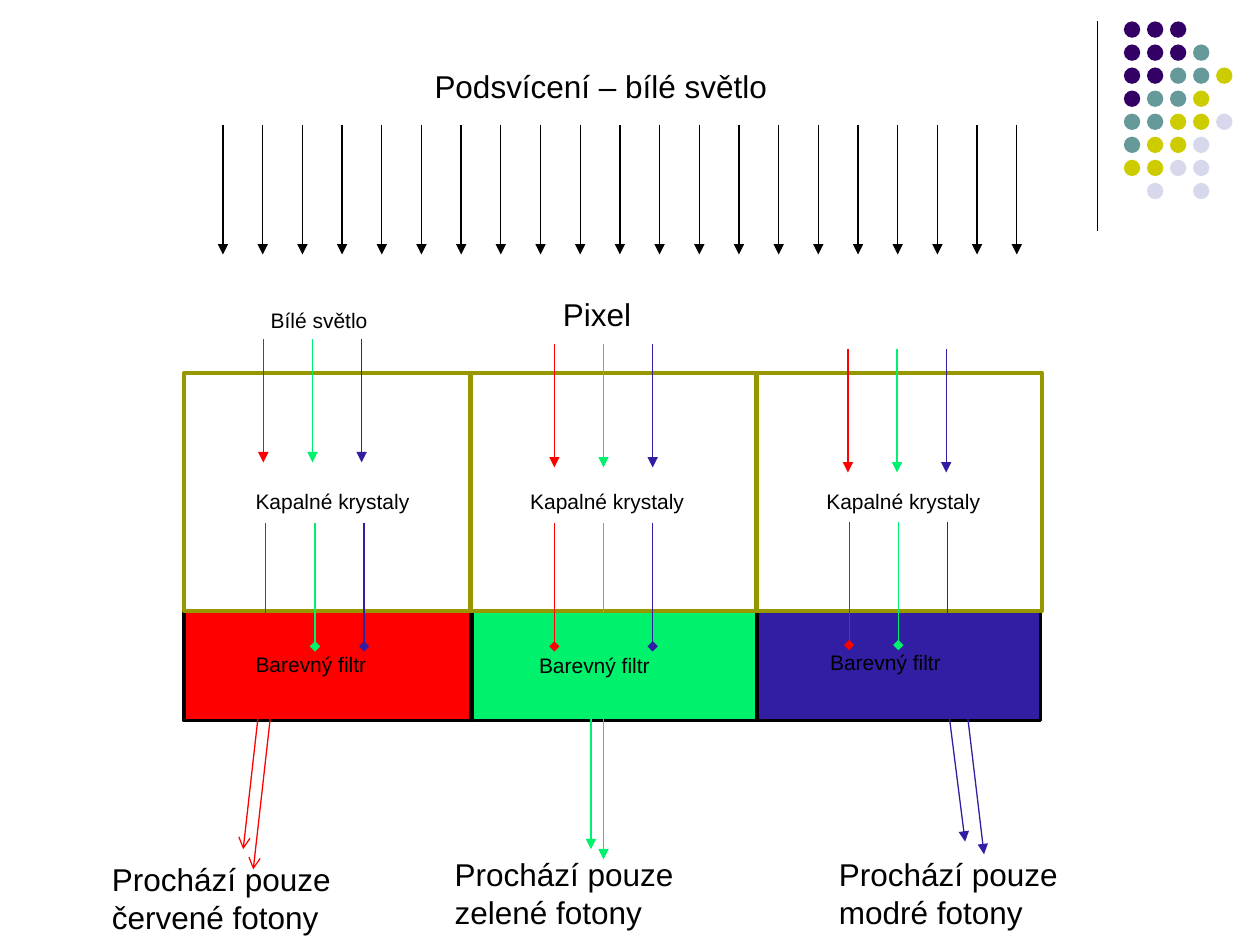
"""Build a slide showing how white light passes through an LCD pixel."""
from lxml import etree
from pptx import Presentation
from pptx.dml.color import RGBColor
from pptx.enum import shapes, text
from pptx.oxml import ns
from pptx.util import Inches, Pt

BLACK = RGBColor(0x00, 0x00, 0x00)
RED = RGBColor(0xFF, 0x00, 0x00)
GREEN = RGBColor(0x00, 0xF2, 0x6D)
BLUE = RGBColor(0x31, 0x1E, 0xA2)
OLIVE = RGBColor(0x97, 0x97, 0x00)
DOT_COLORS = {
    "p": RGBColor(0x33, 0x00, 0x66),
    "t": RGBColor(0x66, 0x99, 0x99),
    "y": RGBColor(0xCC, 0xCC, 0x00),
    "l": RGBColor(0xD8, 0xD8, 0xEC),
}
DOT_ROWS = ["ppp", "pppt", "pptty", "ptty", "ttyyl", "tyyl", "yyll", " l l"]

HEADINGS = [
    ("Podsvícení – bílé světlo", 3.35, 0.48, 4.72, 0.4, 18),
    ("Pixel", 4.37, 2.29, 1.5, 0.4, 18),
    ("Bílé světlo", 2.05, 2.39, 1.26, 0.3, 12),
]
SUBPIXELS = [
    {
        "color": RED, "filter": (1.46, 2.28), "crystal": 1.46,
        "incoming": (2.09, 2.69), "filtered": (2.11, 4.15),
        "ends": ("triangle", "diamond", "diamond"),
        "filter_label": (1.93, 5.12), "crystal_label": 1.93,
        "exits": [(2.09, 5.32, 1.93, 6.74), (2.17, 5.48, 2.01, 6.9)],
        "exit_head": "arrow",
        "result": ("Prochází pouze červené fotony", 0.79, 6.78, 2.76),
    },
    {
        "color": GREEN, "filter": (3.75, 2.28), "crystal": 3.74,
        "incoming": (4.4, 2.73), "filtered": (4.4, 4.15),
        "ends": ("diamond",) * 3,
        "filter_label": (4.18, 5.13), "crystal_label": 4.11,
        "exits": [(4.69, 5.48, 4.69, 6.74), (4.79, 5.56, 4.79, 6.82)],
        "exit_head": "triangle",
        "result": ("Prochází pouze zelené fotony", 3.51, 6.74, 2.56),
    },
    {
        "color": BLUE, "filter": (6.01, 2.25), "crystal": 6.0,
        "incoming": (6.73, 2.77), "filtered": (6.74, 4.14),
        "ends": ("diamond",) * 3,
        "filter_label": (6.49, 5.11), "crystal_label": 6.46,
        "exits": [(7.5, 5.42, 7.66, 6.68), (7.66, 5.52, 7.81, 6.78)],
        "exit_head": "triangle",
        "result": ("Prochází pouze modré fotony", 6.56, 6.74, 2.65),
    },
]
RAY_GAP, RAY_LENGTH = 0.39, 0.98


def add_line(page, x1, y1, x2, y2, color=BLACK, head=None):
    line = page.shapes.add_connector(
        shapes.MSO_CONNECTOR.STRAIGHT, Inches(x1), Inches(y1), Inches(x2), Inches(y2))
    line.line.color.rgb = color
    line.line.width = Pt(0.75)
    if head:
        etree.SubElement(line.line._get_or_add_ln(), ns.qn("a:tailEnd"), type=head)
    etree.SubElement(line._element.spPr, ns.qn("a:effectLst"))


def add_shape(parent, kind, left, top, width, height, fill=None, outline=None):
    shape = parent.shapes.add_shape(
        kind, Inches(left), Inches(top), Inches(width), Inches(height))
    shape.shadow.inherit = False
    if fill is None:
        shape.fill.background()
    else:
        shape.fill.solid()
        shape.fill.fore_color.rgb = fill
    if outline is None:
        shape.line.fill.background()
    else:
        shape.line.color.rgb = outline
        shape.line.width = Pt(2)


def add_label(page, words, left, top, width, height, size):
    box = page.shapes.add_textbox(
        Inches(left), Inches(top), Inches(width), Inches(height))
    frame = box.text_frame
    frame.word_wrap = True
    frame.auto_size = text.MSO_AUTO_SIZE.SHAPE_TO_FIT_TEXT
    para = frame.paragraphs[0]
    para.text = words
    para.font.name = "Arial"
    para.font.size = Pt(size)
    para.font.color.rgb = BLACK


def add_rays(page, start, heads):
    left, top = start
    for index, (color, head) in enumerate(zip((RED, GREEN, BLUE), heads)):
        x = left + index * RAY_GAP
        add_line(page, x, top, x, top + RAY_LENGTH, color, head)


def add_decoration(page):
    add_line(page, 8.71, 0.17, 8.71, 1.83)
    dots = page.shapes.add_group_shape()
    for row, codes in enumerate(DOT_ROWS):
        for column, code in enumerate(codes):
            if code in DOT_COLORS:
                add_shape(dots, shapes.MSO_SHAPE.OVAL, 8.92 + column * 0.183,
                          0.17 + row * 0.183, 0.13, 0.13, DOT_COLORS[code])


def main():
    deck = Presentation()
    deck.slide_width, deck.slide_height = Inches(10), Inches(7.5)
    page = deck.slides.add_slide(deck.slide_layouts[6])
    add_decoration(page)

    for sub in SUBPIXELS:
        left, width = sub["filter"]
        add_shape(page, shapes.MSO_SHAPE.RECTANGLE, left, 4.85, width, 0.87,
                  sub["color"], BLACK)
    for sub in SUBPIXELS:
        add_shape(page, shapes.MSO_SHAPE.RECTANGLE, sub["crystal"], 2.96, 2.27, 1.89,
                  outline=OLIVE)

    for index in range(21):
        x = 1.77 + index * 0.315
        add_line(page, x, 0.99, x, 2.02, head="triangle")
    for heading in HEADINGS:
        add_label(page, *heading)

    for sub in SUBPIXELS:
        for ends in sub["exits"]:
            add_line(page, *ends, sub["color"], sub["exit_head"])
        add_label(page, *sub["result"], 0.71, 18)
        add_label(page, "Barevný filtr", *sub["filter_label"], 1.5, 0.3, 12)
        add_label(page, "Kapalné krystaly", sub["crystal_label"], 3.83, 1.5, 0.3, 12)
        add_rays(page, sub["incoming"], ("triangle",) * 3)
        add_rays(page, sub["filtered"], sub["ends"])

    deck.save("out.pptx")


if __name__ == "__main__":
    main()
